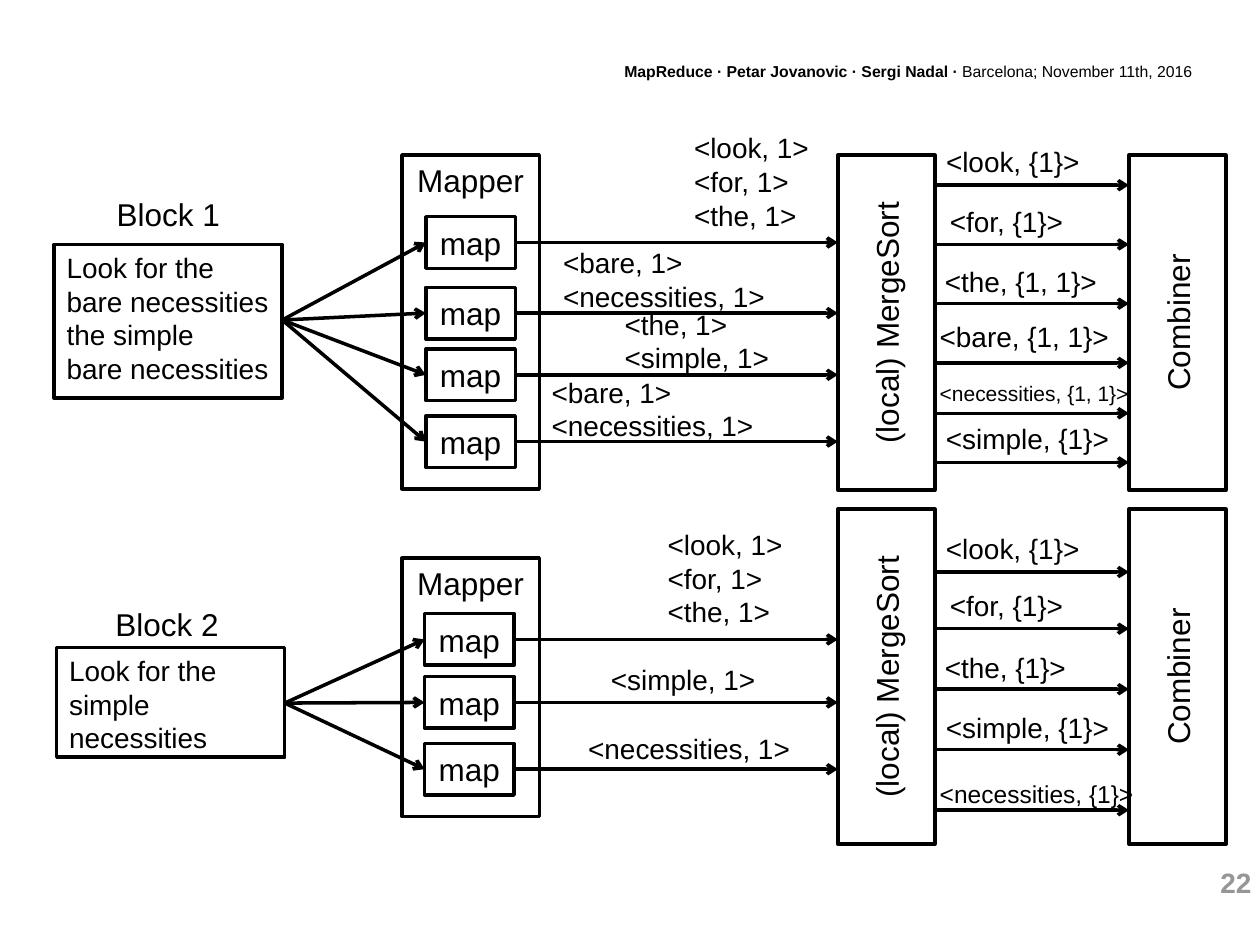
import pptx
import pptx.util
import pptx.dml.color
import pptx.enum.shapes
import pptx.enum.text
import pptx.oxml
import pptx.oxml.ns

Inch = pptx.util.Inches
ALIGN = pptx.enum.text.PP_ALIGN
ANCHOR = pptx.enum.text.MSO_ANCHOR
KIND = pptx.enum.shapes
INK, GREY = "000000", "969696"

# Content: labels are (text, left, top, width, size); lengths in inches
HEAD = ("MapReduce · Petar Jovanovic · Sergi Nadal · ",
        "Barcelona; November 11th, 2016")
PAGE = "22"
BLOCKS = [
    {
        "title": ("Block 1", 0.43, 1.5),
        "text": "Look for the bare necessities\nthe simple\nbare necessities",
        "box": (0.43, 1.94, 1.81, 1.22),
        "hub": 2.54,
        "mapper": (1.23, 2.65),
        "map left": 3.38,
        "maps": [1.72, 2.28, 2.77, 3.3],
        "sort top": 1.23,
        "pairs": [
            ("<look, 1>\n<for, 1>\n<the, 1>", 5.41, 0.99, 1.25, 16),
            ("<bare, 1>\n<necessities, 1>", 4.37, 1.9, 1.89, 16),
            ("<the, 1>\n<simple, 1>", 4.86, 2.39, 1.4, 16),
            ("<bare, 1>\n<necessities, 1>", 4.28, 2.93, 1.92, 16),
        ],
        "groups": [
            ("<look, {1}>", 7.41, 1.1, 1.45, 16),
            ("<for, {1}>", 7.44, 1.57, 1.19, 16),
            ("<the, {1, 1}>", 7.4, 2.05, 1.46, 16),
            ("<bare, {1, 1}>", 7.36, 2.49, 1.73, 16),
            ("<necessities, {1, 1}>", 7.36, 2.97, 2.15, 12),
            ("<simple, {1}>", 7.41, 3.3, 1.53, 16),
        ],
        "flows": [1.47, 1.94, 2.41, 2.88, 3.28, 3.67],
    },
    {
        "title": ("Block 2", 0.42, 4.75),
        "text": "Look for the simple necessities",
        "box": (0.45, 5.14, 1.81, 0.87),
        "hub": 5.58,
        "mapper": (4.43, 2.05),
        "map left": 3.37,
        "maps": [4.87, 5.37, 5.9],
        "sort top": 4.04,
        "pairs": [
            ("<look, 1>\n<for, 1>\n<the, 1>", 5.2, 4.14, 1.25, 16),
            ("<simple, 1>", 4.75, 5.21, 1.61, 16),
            ("<necessities, 1>", 4.57, 5.76, 1.97, 16),
        ],
        "groups": [
            ("<look, {1}>", 7.41, 4.17, 1.6, 16),
            ("<for, {1}>", 7.44, 4.62, 1.19, 16),
            ("<the, {1}>", 7.4, 5.11, 1.3, 16),
            ("<simple, {1}>", 7.41, 5.59, 1.53, 16),
            ("<necessities, {1}>", 7.36, 6.13, 2.15, 14),
        ],
        "flows": [4.54, 4.99, 5.47, 5.95, 6.43],
    },
]

# Shared columns and sizes
MAP_W, MAP_H = 0.71, 0.41
MAPPER_X, MAPPER_W = 3.19, 1.09
SORT_X, COMB_X, TALL_W, TALL_H = 6.65, 8.96, 0.77, 2.66

deck = pptx.Presentation()
deck.slide_width, deck.slide_height = Inch(10), Inch(7.5)
slide = deck.slides.add_slide(deck.slide_layouts[6])


def paint(hue):
    return pptx.dml.color.RGBColor.from_string(hue)


def style(run, size, hue=INK, bold=False):
    font = run.font
    font.name, font.size, font.bold = "Arial", pptx.util.Pt(size), bold
    font.color.rgb = paint(hue)


def write(shape, text, size, align, anchor=ANCHOR.TOP, **look):
    frame = shape.text_frame
    frame.word_wrap = True
    frame.vertical_anchor = anchor
    frame.text = text
    for par in frame.paragraphs:
        par.alignment = align
        for run in par.runs:
            style(run, size, **look)


def label(text, left, top, width, size, align=ALIGN.LEFT, **look):
    lines = text.count("\n") + 1
    high = 0.1 + lines * size / 60
    box = slide.shapes.add_textbox(
        Inch(left), Inch(top), Inch(width), Inch(high))
    write(box, text, size, align, **look)
    return box


def rect(place, text, size=18, align=ALIGN.CENTER, anchor=ANCHOR.MIDDLE):
    box = slide.shapes.add_shape(
        KIND.MSO_SHAPE.RECTANGLE, *[Inch(v) for v in place])
    box.shadow.inherit = False
    box.fill.background()
    box.line.color.rgb = paint(INK)
    box.line.width = pptx.util.Pt(2)
    write(box, text, size, align, anchor)
    return box


def tall(left, top, text):
    # Swap the sides around the same centre, then turn the box upright
    shift = (TALL_H - TALL_W) / 2
    box = rect((left - shift, top + shift, TALL_H, TALL_W), text)
    box.rotation = 270


def arrow(x1, y1, x2, y2):
    line = slide.shapes.add_connector(
        KIND.MSO_CONNECTOR.STRAIGHT, *[Inch(v) for v in (x1, y1, x2, y2)])
    line.line.color.rgb = paint(INK)
    line.line.width = pptx.util.Pt(2)
    tip = pptx.oxml.parse_xml(
        '<a:tailEnd %s type="arrow"/>' % pptx.oxml.ns.nsdecls("a"))
    line.line._get_or_add_ln().append(tip)
    flat = pptx.oxml.parse_xml(
        "<a:effectLst %s/>" % pptx.oxml.ns.nsdecls("a"))
    line._element.spPr.append(flat)


# Header and page number
head = label(HEAD[0], 4.76, 0.44, 4.8, 9, ALIGN.RIGHT, bold=True)
date = head.text_frame.paragraphs[0].add_run()
date.text = HEAD[1]
style(date, 9)
label(PAGE, 8.76, 6.82, 1.27, 16, ALIGN.RIGHT, hue=GREY, bold=True)

for block in BLOCKS:
    # Input block
    box = block["box"]
    label(*block["title"], box[2], 18, ALIGN.CENTER)
    rect(box, block["text"], 16, ALIGN.LEFT, ANCHOR.TOP)

    # Mapper with its maps, and the arrows in and out
    top, high = block["mapper"]
    rect((MAPPER_X, top, MAPPER_W, high), "Mapper", anchor=ANCHOR.TOP)
    left = block["map left"]
    for top in block["maps"]:
        mid = top + MAP_H / 2
        rect((left, top, MAP_W, MAP_H), "map")
        arrow(box[0] + box[2], block["hub"], left, mid)
        arrow(left + MAP_W, mid, SORT_X, mid)

    # Sort and combine
    tall(SORT_X, block["sort top"], "(local) MergeSort")
    tall(COMB_X, block["sort top"], "Combiner")
    for y in block["flows"]:
        arrow(SORT_X + TALL_W, y, COMB_X, y)

    # Key and value labels
    for item in block["pairs"] + block["groups"]:
        label(*item)

deck.save("out.pptx")
